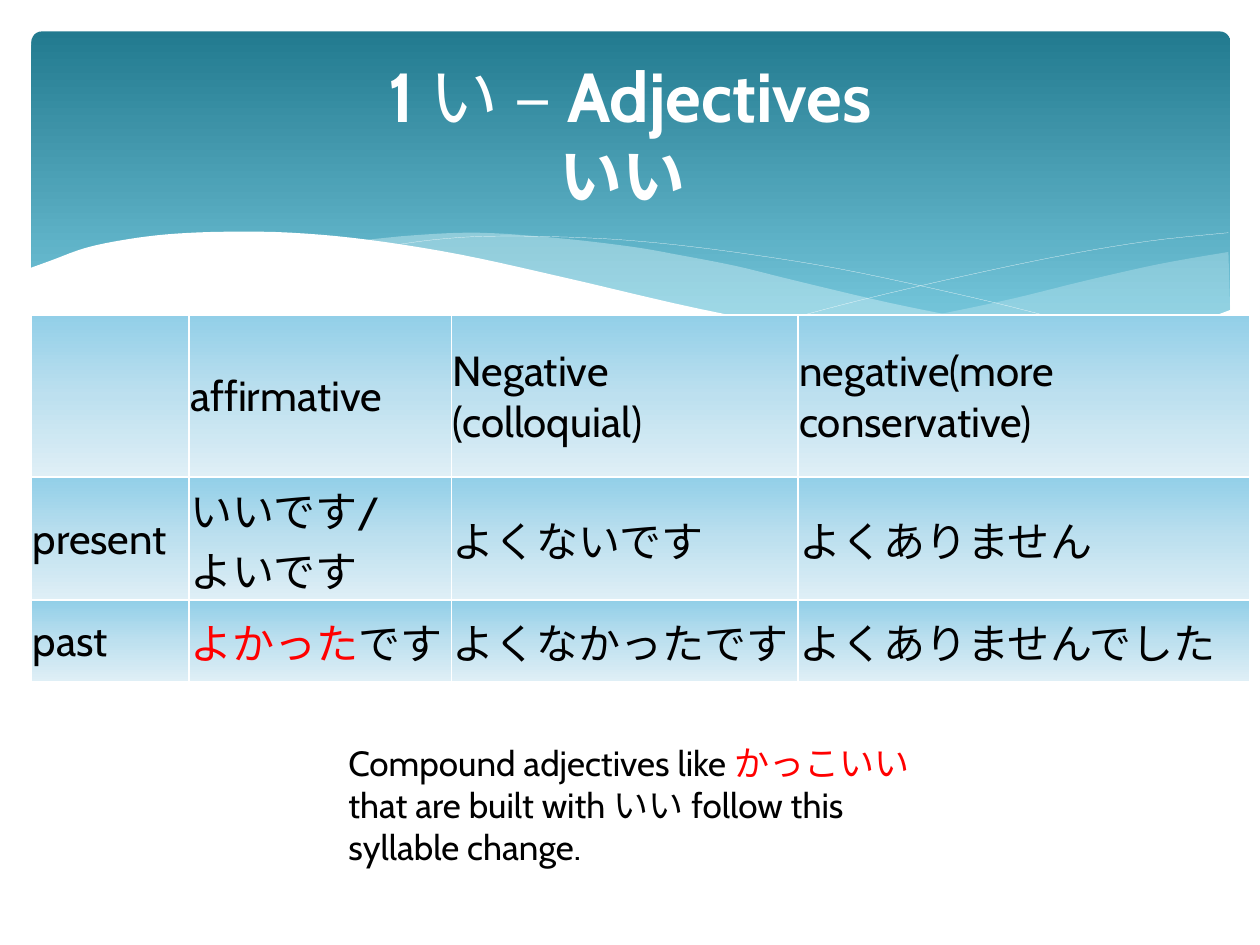
from copy import deepcopy

from lxml.etree import SubElement
from pptx import Presentation
from pptx.dml.color import RGBColor
from pptx.enum.shapes import MSO_SHAPE
from pptx.enum.text import MSO_ANCHOR, PP_ALIGN
from pptx.oxml import parse_xml
from pptx.oxml.ns import nsdecls, qn
from pptx.util import Pt

FONT = "Cabin"
WHITE = RGBColor(0xFF, 0xFF, 0xFF)
BLACK = RGBColor(0x00, 0x00, 0x00)
RED = RGBColor(0xFF, 0x00, 0x00)
FOAM = RGBColor(0xDE, 0xF5, 0xFA)
BAND_STOPS = [(0, RGBColor(0x22, 0x7A, 0x8F)), (0.9, RGBColor(0x7A, 0xCB, 0xE0))]
CELL_STOPS = [
    (0, RGBColor(0x92, 0xCF, 0xE8)),
    (0.5, RGBColor(0xBD, 0xE0, 0xEF)),
    (1, RGBColor(0xDF, 0xEF, 0xF6)),
]

# Knots of the waves, in points
RIGHT_WAVE = [
    [(702, 144), (662, 151), (620, 160.5), (579.5, 170.5), (542, 178.5),
     (508, 185), (476, 191)],
    [(476, 191), (517.5, 196), (553.5, 199), (586, 200), (614.5, 199),
     (640, 196.5), (663, 191), (683, 185), (703, 178)],
]
CENTER_WAVE = [
    [(643, 196.5), (602.5, 191), (558, 183), (508, 173), (453, 160),
     (420.5, 152), (389.5, 146), (361, 141), (318, 136), (273.5, 133),
     (236, 134.5), (206, 137.5)],
    [(206, 137.5), (246, 143), (291, 152), (323, 160), (382, 173),
     (433, 184), (479, 191.5), (520, 196.5), (556.5, 199.5), (589, 200),
     (617, 199.5), (643, 196.5)],
]
FALLING_LINE = [
    [(222.5, 140.5), (248, 137), (279, 135), (324, 135.5), (367, 138),
     (419, 144), (479, 153.5), (547, 168), (598, 180.5), (653, 196)],
]
RISING_LINE = [
    [(441.5, 185), (484, 173.5), (538.5, 160.5), (602, 147), (655, 138),
     (702, 133)],
]
WHITE_WAVE = [
    [(703.5, 177), (677, 186.5), (647, 194), (612, 198.5), (571, 199),
     (523, 196), (466.5, 189), (399.5, 176.5), (322, 158.5), (263, 145.5),
     (210, 137), (166, 133), (127, 132.5), (95, 134), (68.5, 137.5),
     (48, 142), (29, 149), (16.5, 153.5)],
    [(16.5, 237), (703.5, 237)],
]
UNITS_PER_POINT = 100  # freeform coordinates are whole numbers

COLUMN_WIDTHS = [90, 150, 198, 258]
ROW_HEIGHTS = [92.5, 70.5, 46.5]
# Each cell is a list of paragraphs, each paragraph a list of (text, colour)
TABLE_ROWS = [
    [[], [[("affirmative", BLACK)]],
     [[("Negative", BLACK)], [("(colloquial)", BLACK)]],
     [[("negative(more conservative)", BLACK)]]],
    [[[("present", BLACK)]],
     [[("いいです/", BLACK), ("\n", BLACK), ("よいです", BLACK)]],
     [[("よくないです", BLACK)]], [[("よくありません", BLACK)]]],
    [[[("past", BLACK)]], [[("よかった", RED), ("です", BLACK)]],
     [[("よくなかったです", BLACK)]], [[("よくありませんでした", BLACK)]]],
]


def fill_gradient(fill, element, stops):
    """Fill from top to bottom with any number of colour stops."""
    fill.gradient()
    fill.gradient_angle = 270
    stop_list = next(element.iter(qn("a:gsLst")))
    for _ in stops[2:]:
        stop_list.append(deepcopy(stop_list[0]))
    for stop, (position, color) in zip(fill.gradient_stops, stops):
        stop.position = position
        stop.color.rgb = color


def smooth_points(knots, steps=5):
    """Sample a Catmull-Rom curve through the knots."""
    padded = [knots[0], *knots, knots[-1]]
    points = [knots[0]]
    for a, b, c, d in zip(padded, padded[1:], padded[2:], padded[3:]):
        for step in range(1, steps + 1):
            t = step / steps
            points.append(tuple(
                0.5 * (2 * q + (r - p) * t + (2 * p - 5 * q + 4 * r - s) * t**2
                       + (3 * q - p - 3 * r + s) * t**3)
                for p, q, r, s in zip(a, b, c, d)))
    return points


def add_wave(slide, curves, color, opacity=None, filled=True):
    points = [(x * UNITS_PER_POINT, y * UNITS_PER_POINT)
              for knots in curves for x, y in smooth_points(knots)]
    builder = slide.shapes.build_freeform(
        *points[0], scale=Pt(1) / UNITS_PER_POINT)
    builder.add_line_segments(points[1:], close=filled)
    shape = builder.convert_to_shape()
    shape.shadow.inherit = False
    if not filled:
        shape.fill.background()
        shape.line.color.rgb = color
        shape.line.width = Pt(0.1)
        return
    shape.fill.solid()
    shape.fill.fore_color.rgb = color
    shape.line.fill.background()
    if opacity is not None:
        color_element = next(shape.element.iter(qn("a:srgbClr")))
        SubElement(color_element, qn("a:alpha")).set("val", str(opacity * 1000))


def add_band(slide):
    band = slide.shapes.add_shape(
        MSO_SHAPE.ROUNDED_RECTANGLE, Pt(18), Pt(18), Pt(685), Pt(194.5))
    band.adjustments[0] = 0.03
    band.shadow.inherit = False
    band.line.fill.background()
    fill_gradient(band.fill, band.element, BAND_STOPS)


def write_runs(paragraph, runs, size):
    """Write (text, colour) runs; a lone newline is a line break."""
    paragraph.font.name = FONT
    paragraph.font.size = Pt(size)
    for text, color in runs:
        if text == "\n":
            paragraph.add_line_break()
            continue
        run = paragraph.add_run()
        run.text = text
        run.font.color.rgb = color


def add_text_box(slide, left, top, width, height):
    box = slide.shapes.add_textbox(Pt(left), Pt(top), Pt(width), Pt(height))
    box.text_frame.word_wrap = True
    return box.text_frame


def add_title(slide):
    frame = add_text_box(slide, 36, 26.5, 648, 99)
    frame.vertical_anchor = MSO_ANCHOR.MIDDLE
    paragraph = frame.paragraphs[0]
    paragraph.alignment = PP_ALIGN.CENTER
    texts = ["1 ", "い – ", "Adjectives", "\n", "いい "]
    write_runs(paragraph, [(text, WHITE) for text in texts], 39.6)
    for run, bold in zip(paragraph.runs, [True, False, True, True]):
        run.font.bold = bold
    paragraph.runs[-1].font.size = Pt(36)


def add_borders(cell):
    properties = cell._tc.get_or_add_tcPr()
    for index, side in enumerate(["lnL", "lnR", "lnT", "lnB"]):
        properties.insert(index, parse_xml(
            f'<a:{side} {nsdecls("a")} w="{Pt(1)}"><a:solidFill>'
            f'<a:srgbClr val="{WHITE}"/></a:solidFill></a:{side}>'))


def fill_cell(cell, paragraphs):
    cell.vertical_anchor = MSO_ANCHOR.MIDDLE
    cell.margin_left = cell.margin_right = cell.margin_top = Pt(0.75)
    cell.margin_bottom = Pt(0)
    fill_gradient(cell.fill, cell._tc, CELL_STOPS)
    add_borders(cell)
    frame = cell.text_frame
    for index, runs in enumerate(paragraphs):
        paragraph = frame.add_paragraph() if index else frame.paragraphs[0]
        write_runs(paragraph, runs, 24)


def add_conjugation_table(slide):
    table = slide.shapes.add_table(
        len(ROW_HEIGHTS), len(COLUMN_WIDTHS), Pt(18), Pt(180),
        Pt(sum(COLUMN_WIDTHS)), Pt(sum(ROW_HEIGHTS))).table
    table.first_row = table.horz_banding = False
    for column, width in zip(table.columns, COLUMN_WIDTHS):
        column.width = Pt(width)
    for row, height, contents in zip(table.rows, ROW_HEIGHTS, TABLE_ROWS):
        row.height = Pt(height)
        for cell, paragraphs in zip(row.cells, contents):
            fill_cell(cell, paragraphs)


def add_note(slide):
    frame = add_text_box(slide, 192, 420, 360, 80)
    write_runs(frame.paragraphs[0], [
        ("Compound adjectives like ", BLACK), ("かっこいい ", RED),
        ("that are built with いい follow this syllable change.", BLACK)], 20)


def main():
    presentation = Presentation()
    presentation.slide_width, presentation.slide_height = Pt(720), Pt(540)
    slide = presentation.slides.add_slide(presentation.slide_layouts[6])

    # Header band with waves
    add_band(slide)
    add_wave(slide, RIGHT_WAVE, FOAM, opacity=29)
    add_wave(slide, CENTER_WAVE, FOAM, opacity=40)
    add_wave(slide, FALLING_LINE, WHITE, filled=False)
    add_wave(slide, RISING_LINE, WHITE, filled=False)
    add_wave(slide, WHITE_WAVE, WHITE)

    # Content
    add_title(slide)
    add_conjugation_table(slide)
    add_note(slide)
    presentation.save("out.pptx")


if __name__ == "__main__":
    main()
